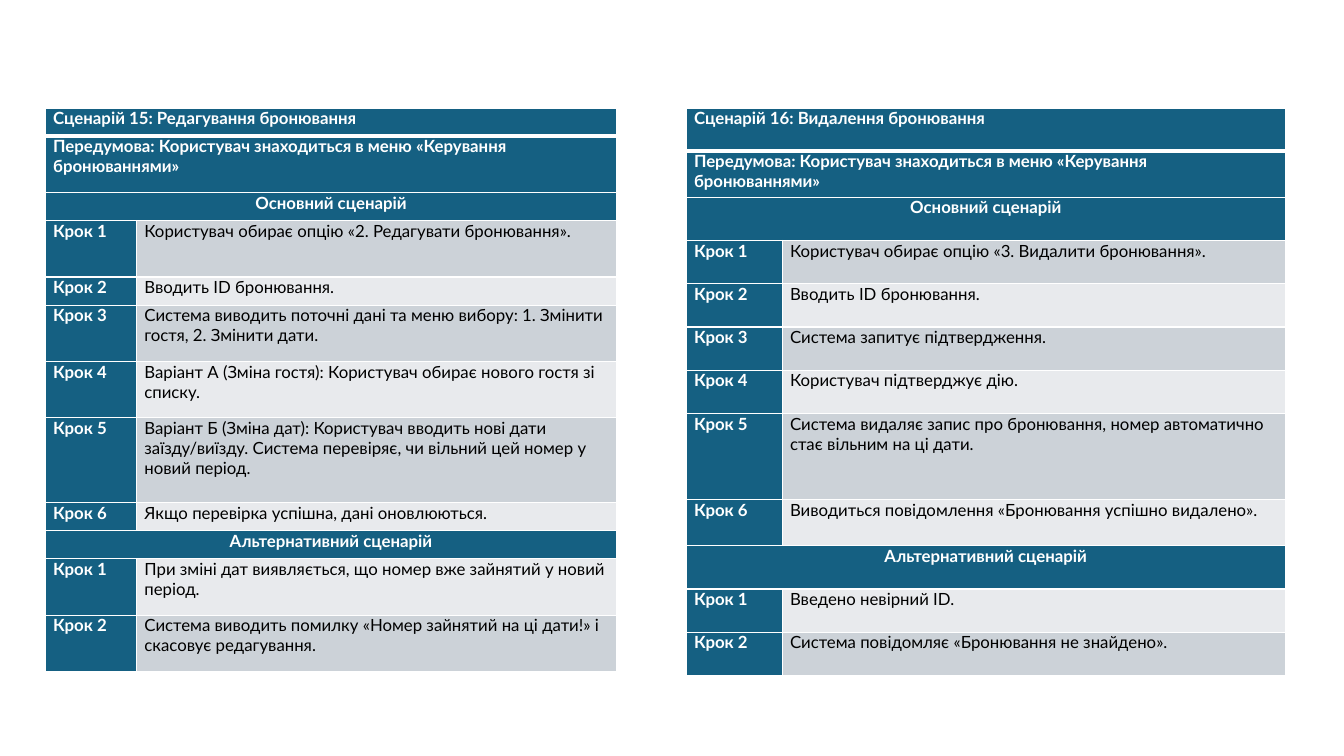
from lxml import etree
from pptx import Presentation
from pptx.dml.color import RGBColor
from pptx.enum.text import PP_ALIGN
from pptx.oxml.ns import qn
from pptx.util import Cm, Pt

LEFT, CENTER = PP_ALIGN.LEFT, PP_ALIGN.CENTER

SCENARIO_15 = [
    (0.71, "Сценарій 15: Редагування бронювання"),
    (1.42, "Передумова: Користувач знаходиться в меню «Керування бронюваннями»"),
    (0.71, "Основний сценарій"),
    (1.42, "Крок 1", "Користувач обирає опцію «2. Редагувати бронювання»."),
    (0.71, "Крок 2", "Вводить ID бронювання."),
    (1.42, "Крок 3", "Система виводить поточні дані та меню вибору: 1. Змінити гостя, 2. Змінити дати."),
    (1.42, "Крок 4", "Варіант А (Зміна гостя): Користувач обирає нового гостя зі списку."),
    (2.13, "Крок 5", "Варіант Б (Зміна дат): Користувач вводить нові дати заїзду/виїзду. "
                     "Система перевіряє, чи вільний цей номер у новий період."),
    (0.71, "Крок 6", "Якщо перевірка успішна, дані оновлюються."),
    (0.71, "Альтернативний сценарій"),
    (1.42, "Крок 1", "При зміні дат виявляється, що номер вже зайнятий у новий період."),
    (1.42, "Крок 2", "Система виводить помилку «Номер зайнятий на ці дати!» і скасовує редагування."),
]
SCENARIO_16 = [
    (1.09, "Сценарій 16: Видалення бронювання"),
    (1.16, "Передумова: Користувач знаходиться в меню «Керування бронюваннями»"),
    (1.09, "Основний сценарій"),
    (1.09, "Крок 1", "Користувач обирає опцію «3. Видалити бронювання»."),
    (1.09, "Крок 2", "Вводить ID бронювання."),
    (1.09, "Крок 3", "Система запитує підтвердження."),
    (1.09, "Крок 4", "Користувач підтверджує дію."),
    (2.17, "Крок 5", "Система видаляє запис про бронювання, номер автоматично стає вільним на ці дати."),
    (1.16, "Крок 6", "Виводиться повідомлення «Бронювання успішно видалено»."),
    (1.09, "Альтернативний сценарій"),
    (1.09, "Крок 1", "Введено невірний ID."),
    (1.09, "Крок 2", "Система повідомляє «Бронювання не знайдено»."),
]


def color(value):
    return RGBColor.from_string(value)


class ScenarioSlide:
    font = "Lato"
    size = Pt(12)
    header = "156082"
    bands = ("E8EAED", "CCD2D8")
    white, black = "FFFFFF", "000000"
    centered = ("Основний сценарій", "Альтернативний сценарій")

    def __init__(self, slide):
        self.slide = slide

    def add_borders(self, cell, top, bottom):
        properties = cell._tc.get_or_add_tcPr()
        for side, width in (("L", 1), ("R", 1), ("T", top), ("B", bottom)):
            line = etree.SubElement(properties, qn(f"a:ln{side}"), w=str(Pt(width)))
            fill = etree.SubElement(line, qn("a:solidFill"))
            etree.SubElement(fill, qn("a:srgbClr"), val=self.white)

    def format_cell(self, cell, fill, row_index):
        self.add_borders(cell, 3 if row_index == 1 else 1, 3 if row_index == 0 else 1)
        cell.fill.solid()
        cell.fill.fore_color.rgb = color(fill)
        cell.margin_left = cell.margin_right = Cm(0.19)
        cell.margin_top = cell.margin_bottom = 0

    def add_text(self, cell, text, text_color, bold):
        paragraph = cell.text_frame.paragraphs[0]
        paragraph.alignment = CENTER if text in self.centered else LEFT
        run = paragraph.add_run()
        run.text = text
        run.font.name = self.font
        run.font.size = self.size
        run.font.bold = bold
        run.font.color.rgb = color(text_color)

    def add_scenario(self, rows, left, top, column_widths):
        height = sum(row[0] for row in rows)
        frame = self.slide.shapes.add_table(
            len(rows), 2, Cm(left), Cm(top), Cm(sum(column_widths)), Cm(height))
        table = frame.table
        table.first_row = table.horz_banding = False
        for column, width in zip(table.columns, column_widths):
            column.width = Cm(width)
        for index, (row_height, label, *step) in enumerate(rows):
            table.rows[index].height = Cm(row_height)
            label_cell, step_cell = table.cell(index, 0), table.cell(index, 1)
            self.format_cell(label_cell, self.header, index)
            self.format_cell(step_cell, self.bands[index % 2] if step else self.header, index)
            self.add_text(label_cell, label, self.white, True)
            if step:
                self.add_text(step_cell, step[0], self.black, False)
            else:
                label_cell.merge(step_cell)


def main():
    presentation = Presentation()
    presentation.slide_width, presentation.slide_height = Cm(33.87), Cm(19.05)
    slide = presentation.slides.add_slide(presentation.slide_layouts[6])
    scenarios = ScenarioSlide(slide)
    scenarios.add_scenario(SCENARIO_15, 1.15, 2.72, (2.3, 12.09))
    scenarios.add_scenario(SCENARIO_16, 17.3, 2.72, (2.42, 12.67))
    presentation.save("out.pptx")


if __name__ == "__main__":
    main()
